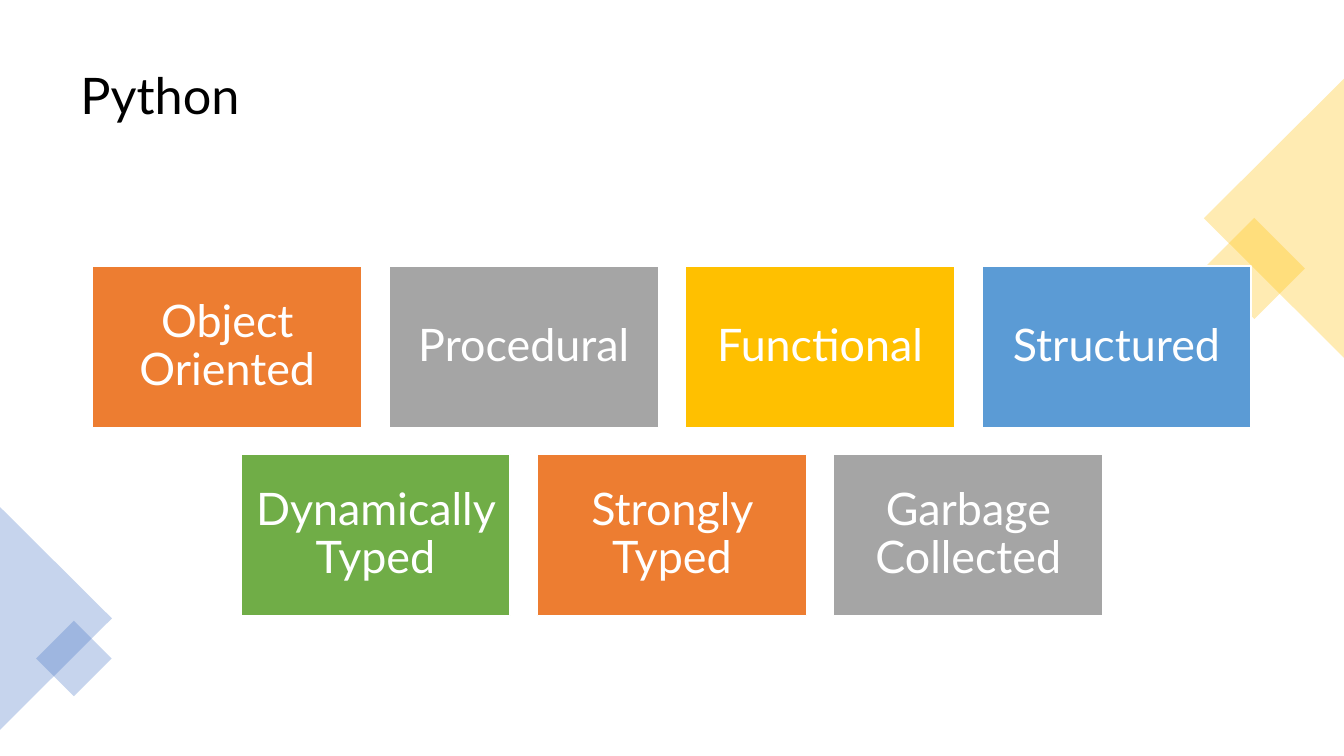
from pptx import Presentation
from pptx.dml.color import RGBColor
from pptx.enum.shapes import MSO_SHAPE
from pptx.enum.text import MSO_ANCHOR, PP_ALIGN
from pptx.oxml.ns import qn
from pptx.util import Inches, Pt
from lxml.etree import SubElement

WIDE, HIGH = 13.33, 7.5
HUES = {
    "ink": "000000", "white": "FFFFFF", "orange": "ED7D31", "gray": "A5A5A5",
    "gold": "FFC000", "sky": "5B9BD5", "green": "70AD47", "blue": "4472C4",
}
ROWS = [
    [("Object Oriented", "orange"), ("Procedural", "gray"),
     ("Functional", "gold"), ("Structured", "sky")],
    [("Dynamically Typed", "green"), ("Strongly Typed", "orange"),
     ("Garbage Collected", "gray")],
]


def tint(name):
    """Return the named colour."""
    return RGBColor.from_string(HUES[name])


def write(shape, text, size=32, hue="white", align=PP_ALIGN.CENTER, inset=0.13, after=6):
    """Put one formatted paragraph into a shape."""
    frame = shape.text_frame
    frame.word_wrap = True
    frame.vertical_anchor = MSO_ANCHOR.MIDDLE
    frame.margin_left = frame.margin_right = Inches(inset)
    frame.margin_top = frame.margin_bottom = Inches(inset)
    para = frame.paragraphs[0]
    para.alignment = align
    para.line_spacing = 0.9
    para.space_after = Pt(after)
    run = para.add_run()
    run.text = text
    run.font.name = "Lato"
    run.font.size = Pt(size)
    run.font.color.rgb = tint(hue)


def draw(slide, kind, box, hue, turn=0, alpha=None):
    """Add a filled shape without outline or shadow."""
    shape = slide.shapes.add_shape(kind, *map(Inches, box))
    shape.shadow.inherit = False
    shape.rotation = turn
    shape.fill.solid()
    shape.fill.fore_color.rgb = tint(hue)
    shape.line.fill.background()
    if alpha:
        color = shape.fill._xPr.find(".//" + qn("a:srgbClr"))
        SubElement(color, qn("a:alpha")).set("val", str(alpha * 1000))
    return shape


def title(slide, box, text):
    """Add the heading."""
    area = slide.shapes.add_textbox(*map(Inches, box))
    write(area, text, size=36, hue="ink", align=PP_ALIGN.LEFT, inset=0.1)


def edge(slide, box, hue, turn, side, spot):
    """Fill a box with a sideways triangle and set a small diamond at a share of it."""
    left, top, wide, high = box
    shift = (wide - high) / 2
    draw(slide, MSO_SHAPE.ISOSCELES_TRIANGLE,
         (left + shift, top - shift, high, wide), hue, turn, 30)
    across, down = spot
    draw(slide, MSO_SHAPE.RECTANGLE,
         (left + across * wide - side / 2, top + down * high - side / 2, side, side),
         hue, 45, 30)


def tiles(slide, box, rows, gap=0.27):
    """Fill a box with centred rows of equal tiles."""
    left, top, wide, high = box
    cols = max(map(len, rows))
    width = (wide - gap * (cols - 1)) / cols
    height = (high - gap * (len(rows) - 1)) / len(rows)
    for down, row in enumerate(rows):
        start = left + (cols - len(row)) * (width + gap) / 2
        for across, (text, hue) in enumerate(row):
            spot = (start + across * (width + gap), top + down * (height + gap))
            tile = draw(slide, MSO_SHAPE.RECTANGLE, (*spot, width, height), hue)
            tile.line.color.rgb = tint("white")
            tile.line.width = Pt(1)
            write(tile, text, after=0)


def main():
    """Build and save the slide."""
    deck = Presentation()
    deck.slide_width, deck.slide_height = Inches(WIDE), Inches(HIGH)
    slide = deck.slides.add_slide(deck.slide_layouts[6])
    title(slide, (0.7, 0.35, 11.93, 1.24), "Python")
    edge(slide, (WIDE - 1.39, 0.78, 1.39, 2.77), "gold", 270, 0.71, (0.36, 0.68))
    edge(slide, (0, 5.03, 1.11, 2.21), "blue", 90, 0.53, (0.66, 0.68))
    tiles(slide, (0.92, 2.64, WIDE - 2 * 0.92, 3.47), ROWS)
    deck.save("out.pptx")


if __name__ == "__main__":
    main()
